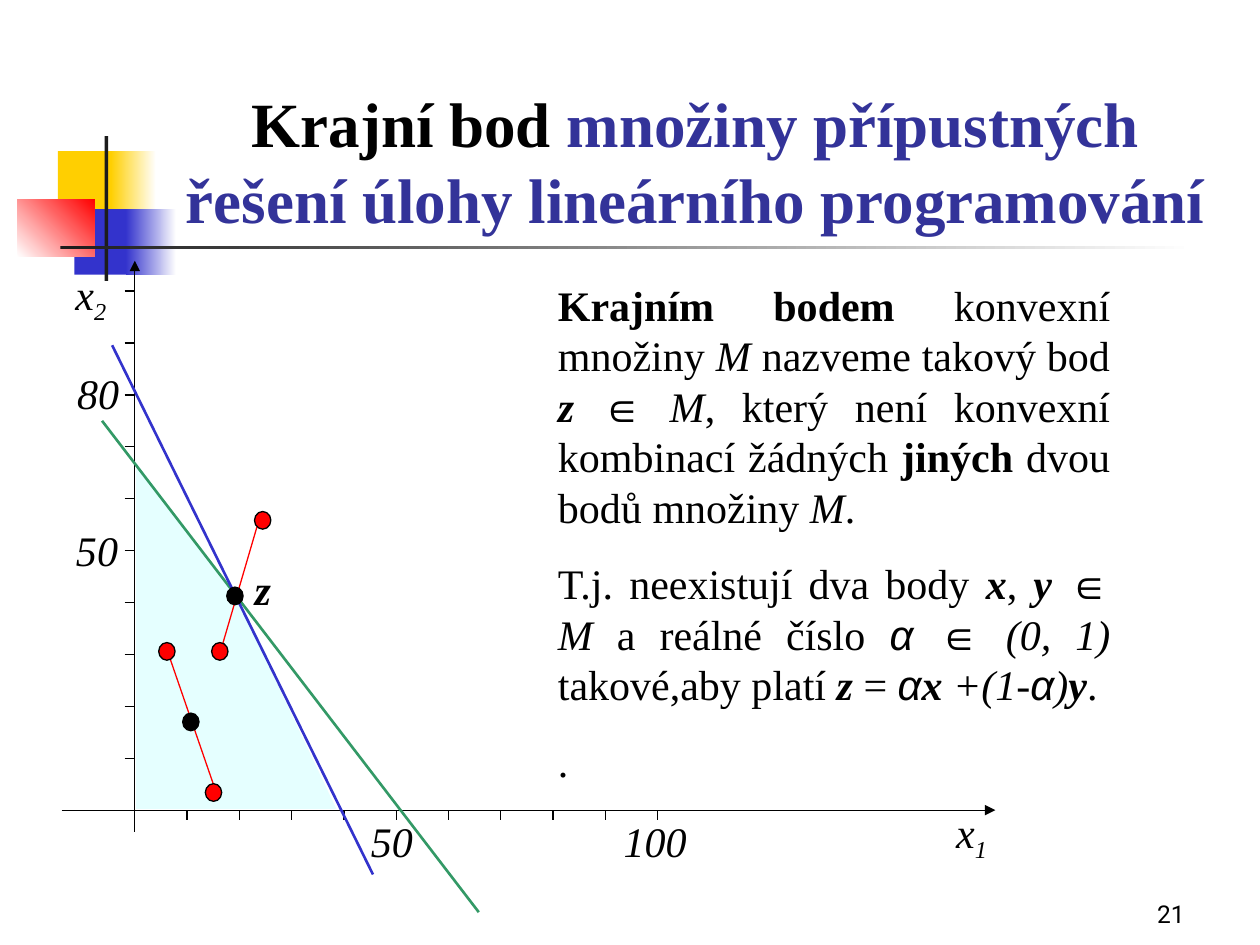
from pptx import Presentation
from pptx.dml.color import RGBColor
from pptx.enum.shapes import MSO_CONNECTOR, MSO_SHAPE
from pptx.enum.text import MSO_ANCHOR, PP_ALIGN
from pptx.oxml.ns import qn
from pptx.util import Inches, Pt
from lxml.etree import SubElement

COLORS = {
    "black": "000000", "white": "FFFFFF", "ink": "1C1C1C", "yellow": "FFCF01",
    "blue": "3333CC", "red": "FF0000", "title": "333399", "green": "339966",
    "region": "CCFFFF",
}
PLAIN = {}
BOLD = {"bold": True}
ITALIC = {"italic": True}
VECTOR = {"bold": True, "italic": True}
SYMBOL = {"italic": True, "name": "Arial"}


def color(name):
    """Return the named colour."""
    return RGBColor.from_string(COLORS[name])


class SlideBuilder:
    """Hold the text style and the current slide."""

    style = {"name": "Times New Roman", "size": Pt(24), "bold": False, "italic": False}

    def __init__(self, slide):
        """Keep the slide that receives the elements."""
        self.slide = slide

    def block(self, box, start, end=None, angle=0):
        """Add a rectangle with a solid or gradient fill."""
        shape = self.slide.shapes.add_shape(MSO_SHAPE.RECTANGLE, *map(Inches, box))
        shape.shadow.inherit = False
        shape.line.fill.background()
        if end is None:
            shape.fill.solid()
            shape.fill.fore_color.rgb = color(start)
            return
        shape.fill.gradient()
        shape.fill.gradient_angle = angle
        for stop, name in zip(shape.fill.gradient_stops, (start, end)):
            stop.color.rgb = color(name)

    def region(self, points, fill, opacity):
        """Add a translucent polygon without an outline."""
        corners = [(Inches(x), Inches(y)) for x, y in points]
        builder = self.slide.shapes.build_freeform(*corners[0])
        builder.add_line_segments(corners[1:], close=True)
        shape = builder.convert_to_shape()
        shape.shadow.inherit = False
        shape.line.fill.background()
        shape.fill.solid()
        shape.fill.fore_color.rgb = color(fill)
        tint = shape.fill._xPr.find(".//" + qn("a:srgbClr"))
        SubElement(tint, qn("a:alpha"), val=str(opacity * 1000))

    def line(self, start, end, name="black", width=0.75, arrow=None):
        """Add a straight line, with an arrowhead at one end if asked."""
        connector = self.slide.shapes.add_connector(
            MSO_CONNECTOR.STRAIGHT, *map(Inches, (*start, *end)))
        connector.line.color.rgb = color(name)
        connector.line.width = Pt(width)
        properties = connector._element.spPr
        if arrow:
            SubElement(properties.find(qn("a:ln")), qn(f"a:{arrow}End"), type="triangle")
        SubElement(properties, qn("a:effectLst"))

    def dot(self, left, top, fill):
        """Add an outlined point marker."""
        shape = self.slide.shapes.add_shape(
            MSO_SHAPE.OVAL, *map(Inches, (left, top, 0.13, 0.14)))
        shape.shadow.inherit = False
        shape.fill.solid()
        shape.fill.fore_color.rgb = color(fill)
        shape.line.color.rgb = color("black")
        shape.line.width = Pt(0.75)

    def text(self, box, paragraphs, align=PP_ALIGN.LEFT, anchor=MSO_ANCHOR.TOP, wrap=True):
        """Add a text box whose paragraphs are lists of text and format pairs."""
        frame = self.slide.shapes.add_textbox(*map(Inches, box)).text_frame
        frame.word_wrap = wrap
        frame.vertical_anchor = anchor
        for index, runs in enumerate(paragraphs):
            paragraph = frame.add_paragraph() if index else frame.paragraphs[0]
            paragraph.alignment = align
            if index:
                paragraph.space_before = Pt(15)
            for content, changes in runs:
                run = paragraph.add_run()
                run.text = content
                values = {**self.style, **changes}
                run.font.color.rgb = color(values.pop("color", "black"))
                for attribute, value in values.items():
                    setattr(run.font, attribute, value)
                if "subscript" in changes:
                    run.font._element.set("baseline", "-25000")


def add_decoration(builder):
    """Draw the coloured blocks and rules beside the title."""
    builder.block((0.46, 1.2, 0.48, 0.52), "yellow")
    builder.block((0.88, 1.2, 0.36, 0.52), "yellow", "white")
    builder.block((0.59, 1.66, 0.46, 0.52), "blue")
    builder.block((1, 1.66, 0.4, 0.52), "blue", "white")
    builder.block((0.14, 1.58, 0.61, 0.46), "white", "red", 45)
    builder.block((0.83, 1.08, 0.03, 1.15), "ink")
    builder.block((0.48, 1.95, 9, 0.03), "ink", "white")


def add_axes(builder):
    """Draw the axes with their ticks and labels."""
    origin_x, origin_y, tick = 1.07, 6.43, 0.08
    for left, top, index in ((7.49, 6.35, "1"), (0.5, 2.08, "2")):
        label = [("x", ITALIC), (index, {"italic": True, "subscript": True})]
        builder.text((left, top, 1.08, 0.56), [label])
    builder.line((origin_x, 2.07), (origin_x, 6.6), arrow="head")
    builder.line((0.49, origin_y), (7.9, origin_y), arrow="tail")
    for step in range(1, 11):
        x = origin_x + 0.415 * step
        y = origin_y - 0.412 * step
        builder.line((x, origin_y), (x, origin_y + tick))
        builder.line((origin_x - tick, y), (origin_x, y))
    for left, top, value in ((2.61, 6.42, "50"), (0.27, 4.11, "50"),
                             (4.7, 6.42, "100"), (0.28, 2.87, "80")):
        builder.text((left, top, 1, 0.5), [[(value, ITALIC)]], PP_ALIGN.CENTER)


def add_definition(builder):
    """Write the definition of an extreme point."""
    definition = [
        ("Krajním bodem", BOLD), (" konvexní množiny ", PLAIN), ("M", ITALIC),
        (" nazveme takový bod ", PLAIN), ("z ", VECTOR), ("∈", SYMBOL), (" M", ITALIC),
        (", který není konvexní kombinací žádných ", PLAIN), ("jiných", BOLD),
        (" dvou bodů množiny ", PLAIN), ("M", ITALIC), (".", PLAIN),
    ]
    condition = [
        ("T.j. neexistují dva body ", PLAIN), ("x", VECTOR), (", ", PLAIN), ("y ", VECTOR),
        ("∈", SYMBOL), (" M", ITALIC), (" a reálné číslo ", PLAIN), ("α ∈ ", SYMBOL),
        ("(0, 1) ", ITALIC), ("takové,aby platí ", PLAIN), ("z ", VECTOR), ("= ", PLAIN),
        ("α", SYMBOL), ("x", VECTOR), (" +(1-", ITALIC), ("α", SYMBOL), (")", ITALIC),
        ("y", VECTOR), (".", PLAIN),
    ]
    builder.text((4.33, 2.17, 4.58, 4.73), [definition, condition, [(".", PLAIN)]],
                 PP_ALIGN.JUSTIFY)


def main():
    """Build and save the slide."""
    presentation = Presentation()
    presentation.slide_width, presentation.slide_height = Inches(10), Inches(7.5)
    builder = SlideBuilder(presentation.slides.add_slide(presentation.slide_layouts[6]))
    add_decoration(builder)
    builder.text((7.42, 6.92, 2.08, 0.5), [[("21", {"name": "Roboto", "size": Pt(14)})]],
                 PP_ALIGN.RIGHT, MSO_ANCHOR.BOTTOM)
    builder.region([(1.08, 3.67), (1.08, 6.42), (2.67, 6.42), (1.87, 4.73)], "region", 50)
    heading = {"size": Pt(36), "bold": True}
    builder.text((1.26, 0.67, 8.52, 1.25), [[
        ("Krajní bod", heading),
        (" množiny přípustných řešení úlohy lineárního programování",
         {**heading, "color": "title"}),
    ]], PP_ALIGN.CENTER, MSO_ANCHOR.BOTTOM)
    add_axes(builder)
    builder.line((0.81, 3.34), (3.8, 7.24), "green", 1.5)
    builder.line((0.89, 2.74), (2.96, 6.94), "blue", 1.5)
    add_definition(builder)
    builder.line((1.33, 5.17), (1.72, 6.3), "red")
    builder.line((2.04, 4.18), (1.75, 5.17), "red")
    for left, top in ((1.26, 5.1), (1.63, 6.22), (1.68, 5.1), (2.02, 4.06)):
        builder.dot(left, top, "red")
    for left, top in ((1.45, 5.66), (1.8, 4.66)):
        builder.dot(left, top, "black")
    builder.text((1.92, 4.42, 0.33, 0.5), [[("z", VECTOR)]], PP_ALIGN.CENTER, wrap=False)
    presentation.save("out.pptx")


if __name__ == "__main__":
    main()
